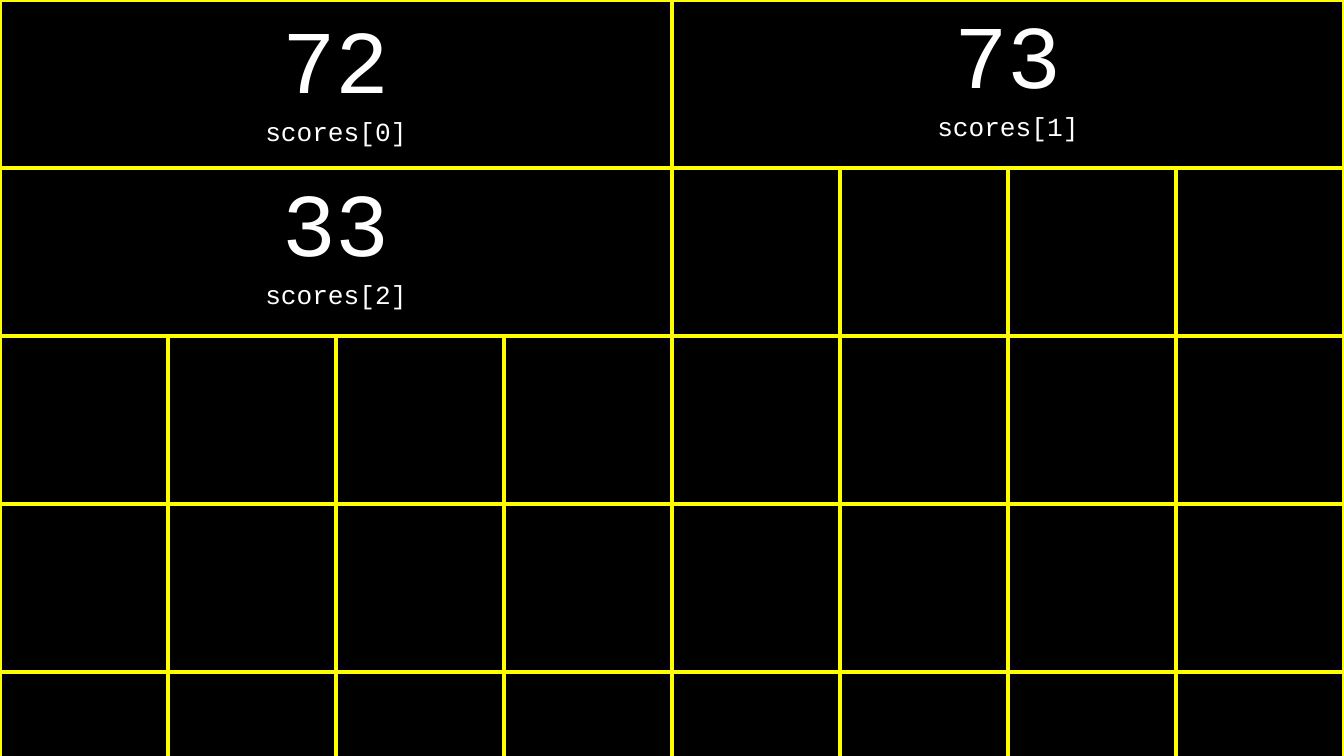
"""Build a slide that shows an array of scores laid out in a memory grid."""
from lxml.etree import SubElement
from pptx import Presentation
from pptx.dml.color import RGBColor
from pptx.enum.text import MSO_ANCHOR, PP_ALIGN
from pptx.oxml.ns import qn
from pptx.util import Inches, Pt

COLS, ROWS, SPAN = 8, 5, 4
SCORES = [(0, 0, "72"), (0, SPAN, "73"), (1, 0, "33")]


def paint(fill, tone):
    fill.solid()
    fill.fore_color.rgb = RGBColor.from_string(tone)


def frame(cell, tone, width):
    props = cell._tc.get_or_add_tcPr()
    for side in ("lnL", "lnR", "lnT", "lnB"):
        line = SubElement(props, qn(f"a:{side}"), w=str(Pt(width)))
        fill = SubElement(line, qn("a:solidFill"))
        SubElement(fill, qn("a:srgbClr"), val=tone)


deck = Presentation()
deck.slide_width = Inches(10)
deck.slide_height = deck.slide_width * 9 // 16
side = deck.slide_width // COLS

slide = deck.slides.add_slide(deck.slide_layouts[6])
paint(slide.background.fill, "000000")

grid = slide.shapes.add_table(ROWS, COLS, 0, 0, side * COLS, side * ROWS).table
grid.first_row = grid.horz_banding = False
for row in grid.rows:
    row.height = side
for col in grid.columns:
    col.width = side

for cell in grid.iter_cells():
    frame(cell, "FFFF00", 3)
    cell.fill.background()
    cell.margin_left = cell.margin_right = Inches(0.1)
    cell.margin_top = cell.margin_bottom = Inches(0.1)

for index, (row, col, score) in enumerate(SCORES):
    cell = grid.cell(row, col)
    cell.merge(grid.cell(row, col + SPAN - 1))
    cell.text_frame.text = f"{score}\nscores[{index}]"
    for para, size in zip(cell.text_frame.paragraphs, (48, 14)):
        para.alignment = PP_ALIGN.CENTER
        font = para.runs[0].font
        font.name, font.size = "Courier New", Pt(size)
        paint(font.fill, "FFFFFF")

grid.cell(0, 0).vertical_anchor = MSO_ANCHOR.MIDDLE

deck.save("out.pptx")
